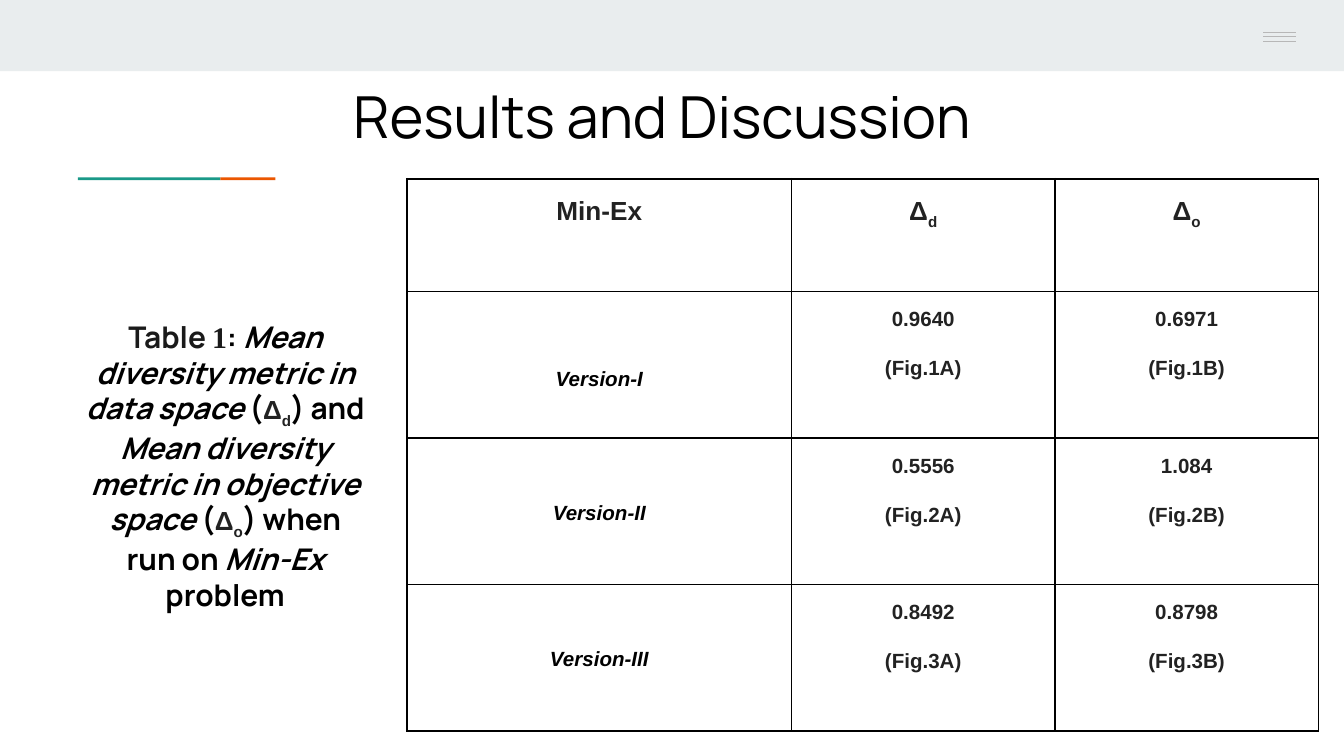
from lxml.etree import SubElement
from pptx import Presentation
from pptx.dml.color import RGBColor
from pptx.enum.shapes import MSO_CONNECTOR as Line, MSO_SHAPE as Shape
from pptx.enum.text import MSO_ANCHOR as Anchor, PP_ALIGN as Align
from pptx.oxml.ns import qn
from pptx.util import Inches, Pt

WIDTH = 10
HEIGHT = WIDTH * 9 / 16
BLACK, INK, BAND, GREY = "000000", "222222", "E9EDEE", "B7B7B7"
TITLE = "Results and Discussion"

PLAIN = dict(font="Manrope", size=16, color=BLACK, bold=True)
ITALIC = dict(PLAIN, italic=True)
SYMBOL = dict(font="Arial", size=14, color=INK, bold=True)
SUBSCRIPT = dict(SYMBOL, sub=True)
FIGURE = dict(SYMBOL, size=11)
VERSION = dict(FIGURE, color=BLACK, italic=True)

CAPTION = [
    ("Table ", dict(PLAIN, color="1A1A1A")),
    ("1", dict(PLAIN, font="Times New Roman", color="1A1A1A")),
    (": ", PLAIN),
    ("Mean diversity metric in data space", ITALIC),
    (" (", PLAIN), ("Δ", SYMBOL), ("d", SUBSCRIPT), (") and ", PLAIN),
    ("Mean diversity metric in objective space", ITALIC),
    (" (", PLAIN), ("Δ", SYMBOL), ("o", SUBSCRIPT), (") when run on ", PLAIN),
    ("Min-Ex", ITALIC), (" problem", PLAIN),
]
HEADER = [
    [("Min-Ex", SYMBOL)],
    [("Δ", SYMBOL), ("d", SUBSCRIPT)],
    [("Δ", SYMBOL), ("o", SUBSCRIPT)],
]
RESULTS = [
    ("Version-I", ("0.9640", "(Fig.1A)"), ("0.6971", "(Fig.1B)")),
    ("Version-II", ("0.5556", "(Fig.2A)"), ("1.084", "(Fig.2B)")),
    ("Version-III", ("0.8492", "(Fig.3A)"), ("0.8798", "(Fig.3B)")),
]
COLUMNS = [2.86, 1.96, 1.96]
ROWS = [0.84] + [1.09] * len(RESULTS)
BANDS = [(0, 0, WIDTH, 0.53, BAND), (0.58, 1.32, 1.06, 0.02, "1A9988"),
         (1.64, 1.32, 0.41, 0.02, "EB5600")]
MENU_LEFT, MENU_RIGHT = 9.4, 9.64
MENU_ROWS = [0.24, 0.27, 0.31]


def rgb(value):
    return RGBColor.from_string(value)


def write(paragraph, runs, align=Align.CENTER, spacing=1.0):
    paragraph.alignment = align
    paragraph.line_spacing = spacing
    for text, style in runs:
        run = paragraph.add_run()
        run.text = text
        run.font.name = style["font"]
        run.font.size = Pt(style["size"])
        run.font.bold = style.get("bold", False)
        run.font.italic = style.get("italic", False)
        run.font.color.rgb = rgb(style["color"])
        if style.get("sub"):
            run.font._element.set("baseline", "-25000")


def add_text(slide, left, top, width, height, runs, **layout):
    frame = slide.shapes.add_textbox(*map(Inches, (left, top, width, height))).text_frame
    frame.word_wrap = True
    frame.margin_left = frame.margin_right = Inches(0.1)
    frame.margin_top = frame.margin_bottom = Inches(0.1)
    write(frame.paragraphs[0], runs, **layout)


def add_borders(cell):
    properties = cell._tc.get_or_add_tcPr()
    for position, side in enumerate(("lnL", "lnR", "lnT", "lnB")):
        border = properties.makeelement(qn(f"a:{side}"), {"w": str(Pt(1))})
        fill = SubElement(border, qn("a:solidFill"))
        SubElement(fill, qn("a:srgbClr"), val=BLACK)
        properties.insert(position, border)


def fill_cell(cell, lines, anchor=Anchor.TOP):
    cell.fill.background()
    add_borders(cell)
    cell.vertical_anchor = anchor
    cell.margin_left = cell.margin_right = Inches(0.07)
    cell.margin_top = cell.margin_bottom = Inches(0.1)
    for index, runs in enumerate(lines):
        frame = cell.text_frame
        paragraph = frame.add_paragraph() if index else frame.paragraphs[0]
        write(paragraph, runs, spacing=1.15)
        if index:
            paragraph.space_before = Pt(12)
            paragraph.space_after = Pt(10)


def add_results(slide):
    box = map(Inches, (3.03, 1.33, sum(COLUMNS), sum(ROWS)))
    table = slide.shapes.add_table(len(ROWS), len(COLUMNS), *box).table
    table.first_row = table.horz_banding = False
    for column, width in zip(table.columns, COLUMNS):
        column.width = Inches(width)
    for row, height in zip(table.rows, ROWS):
        row.height = Inches(height)
    for column, runs in enumerate(HEADER):
        fill_cell(table.cell(0, column), [runs])
    for row, (version, *metrics) in enumerate(RESULTS, 1):
        fill_cell(table.cell(row, 0), [[(version, VERSION)]], Anchor.MIDDLE)
        for column, lines in enumerate(metrics, 1):
            fill_cell(table.cell(row, column), [[(line, FIGURE)] for line in lines])
    table.cell(1, 0).margin_top = Inches(0.29)


def add_decoration(slide):
    for *box, color in BANDS:
        band = slide.shapes.add_shape(Shape.RECTANGLE, *map(Inches, box))
        band.shadow.inherit = False
        band.fill.solid()
        band.fill.fore_color.rgb = rgb(color)
        band.line.fill.background()
    for y in MENU_ROWS:
        ends = map(Inches, (MENU_LEFT, y, MENU_RIGHT, y))
        bar = slide.shapes.add_connector(Line.STRAIGHT, *ends)
        bar.line.color.rgb = rgb(GREY)
        bar.line.width = Pt(0.75)
        SubElement(bar._element.spPr, qn("a:effectLst"))


def main():
    deck = Presentation()
    deck.slide_width, deck.slide_height = Inches(WIDTH), Inches(HEIGHT)
    slide = deck.slides.add_slide(deck.slide_layouts[6])
    add_decoration(slide)
    add_text(slide, 0.53, 2.27, 2.29, 2.26, CAPTION)
    add_results(slide)
    heading = dict(font="Manrope", size=31, color=BLACK)
    add_text(slide, 2.53, 0.5, 4.94, 0.83, [(TITLE, heading)], align=Align.LEFT)
    deck.save("out.pptx")


if __name__ == "__main__":
    main()
